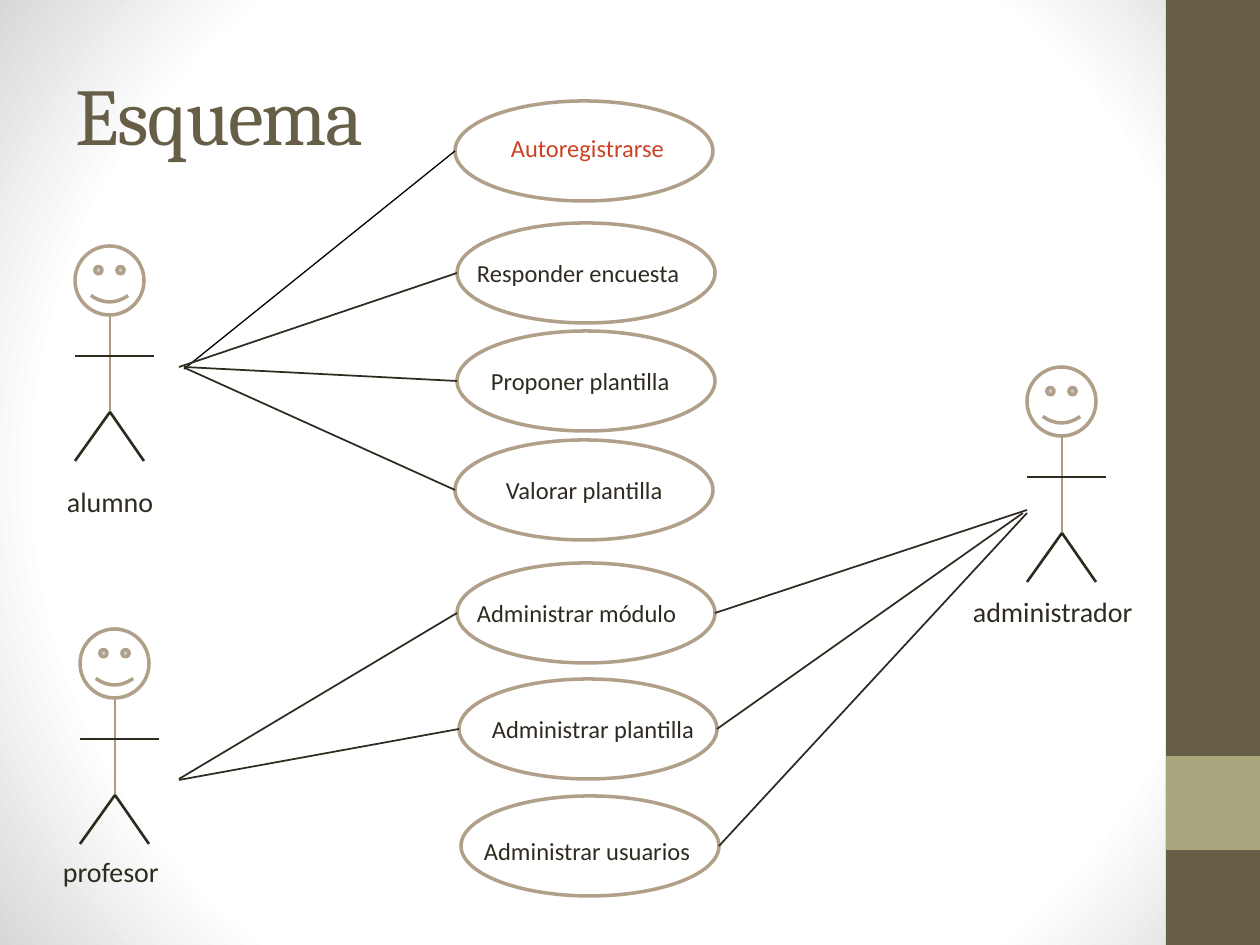
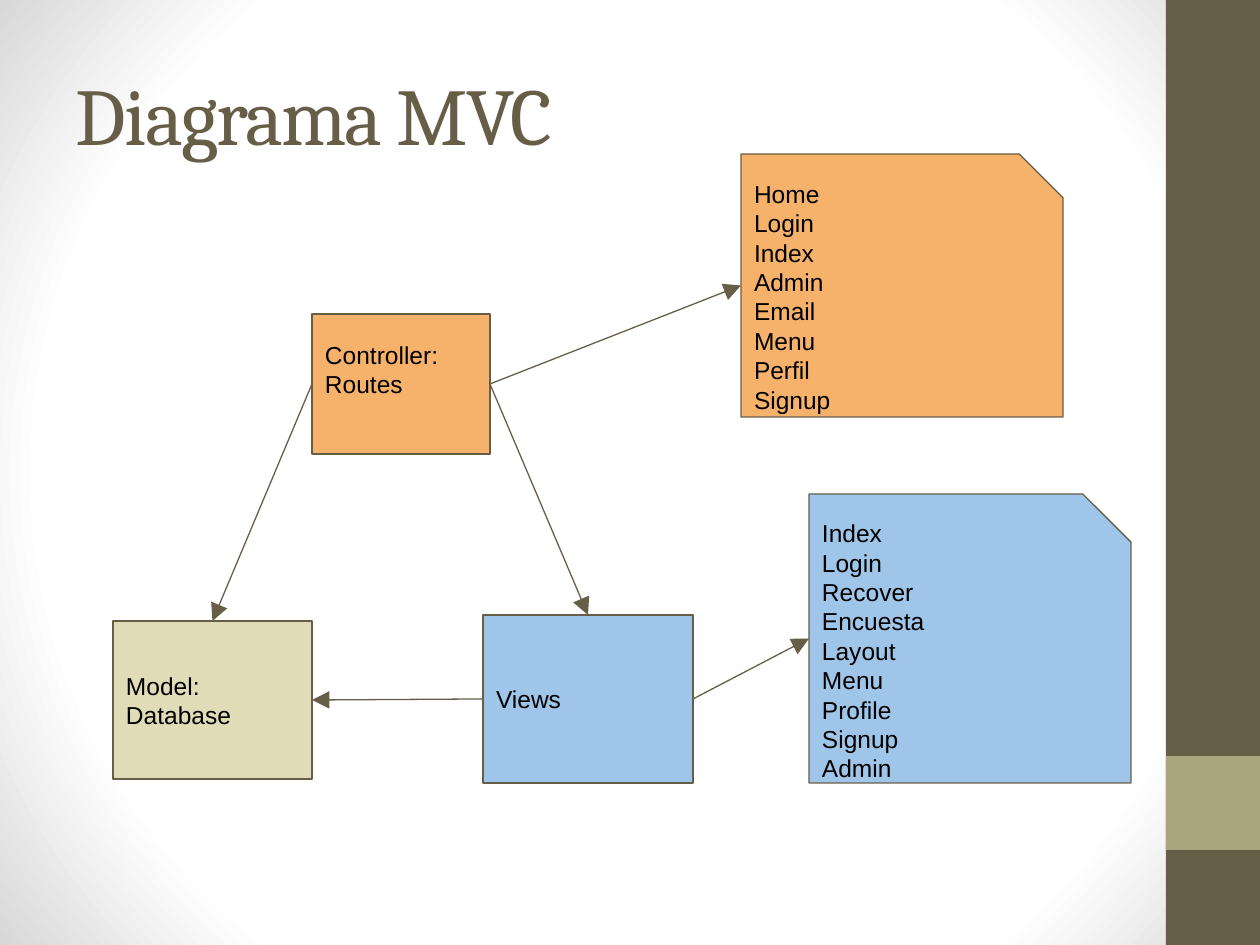
from lxml.etree import SubElement
from pptx import Presentation
from pptx.dml.color import RGBColor as RGB
from pptx.enum.shapes import MSO_CONNECTOR as Conn, MSO_SHAPE as Kind
from pptx.enum.text import MSO_ANCHOR as Anchor, MSO_AUTO_SIZE as Fit, PP_ALIGN as Align
from pptx.oxml import parse_xml
from pptx.oxml.ns import nsdecls, qn
from pptx.util import Pt

# Colours
BROWN = RGB(0x67, 0x5E, 0x47)
OLIVE = RGB(0xA9, 0xA5, 0x7C)
TAN = RGB(0xB1, 0xA0, 0x89)
BODY = RGB(0xAC, 0x9C, 0x84)
LIMB = RGB(0x2D, 0x2A, 0x1E)
INK = RGB(0x2F, 0x2B, 0x20)
RED = RGB(0xCC, 0x41, 0x25)
BLACK = RGB(0, 0, 0)
WHITE = RGB(0xFF, 0xFF, 0xFF)
SAND = RGB(0xDF, 0xDC, 0xB7)
BLUE = RGB(0x9F, 0xC5, 0xE8)
PEACH = RGB(0xF6, 0xB2, 0x6B)

# Shared layout, in px
DPI = 126
PAGE = (1260, 945)
TITLE = (63, 38, 1050, 158)
BANDS = [((1166, 0, 94, 945), BROWN), ((1166, 756, 94, 94), OLIVE)]
PAD = 13

# Use cases: name, oval left and top, text left and top, colour
OVAL = (258, 100)
CASES = [
    ("Autoregistrarse", (455, 101), (498, 127), RED),
    ("Responder encuesta", (457, 223), (464, 252), INK),
    ("Proponer plantilla", (457, 331), (478, 360), INK),
    ("Valorar plantilla", (455, 440), (493, 469), INK),
    ("Administrar módulo", (457, 563), (464, 592), INK),
    ("Administrar plantilla", (459, 679), (479, 708), INK),
    ("Administrar usuarios", (461, 796), (471, 830), INK),
]

# Actors: name, head left and top, label box
HEAD = 69
ACTORS = [
    ("alumno", (75, 246), (54, 478, 129, 47)),
    ("profesor", (80, 629), (50, 848, 129, 47)),
    ("administrador", (1027, 367), (960, 588, 204, 47)),
]
# Stick figure, measured from the corner of the head
LIMBS = [
    ((35, 70), (35, 169), BODY),
    ((0, 110), (79, 110), LIMB),
    ((35, 166), (69, 215), LIMB),
    ((35, 166), (0, 215), LIMB),
]

# Links: start, case number, side, colour, width
LINKS = [
    ((184, 369), 0, "left", BLACK, 0.75),
    ((179, 367), 1, "left", INK, 1),
    ((184, 367), 2, "left", INK, 1),
    ((185, 368), 3, "left", INK, 1),
    ((179, 779), 4, "left", INK, 1),
    ((179, 780), 5, "left", INK, 1),
    ((1027, 510), 4, "right", INK, 1),
    ((1023, 513), 5, "right", INK, 1),
    ((1027, 513), 6, "right", INK, 1),
]

# MVC nodes: preset, box, fill, lines, bottom inset
NODES = {
    "model": (Kind.RECTANGLE, (113, 621, 199, 158), SAND,
              ["Model:", "Database"], PAD),
    "views": (Kind.RECTANGLE, (483, 615, 210, 168), BLUE, ["Views"], PAD),
    "control": (Kind.RECTANGLE, (312, 314, 178, 140), PEACH,
                ["Controller:", "Routes"], 42),
    "routes": (Kind.SNIP_1_RECTANGLE, (741, 154, 322, 263), PEACH,
               ["Home", "Login", "Index", "Admin", "Email", "Menu",
                "Perfil", "Signup"], PAD),
    "pages": (Kind.SNIP_1_RECTANGLE, (809, 494, 322, 289), BLUE,
              ["Index", "Login", "Recover", "Encuesta", "Layout", "Menu",
               "Profile", "Signup", "Admin"], PAD),
}
ARROWS = [
    ("control", "left", "model", "top"),
    ("control", "right", "views", "top"),
    ("views", "left", "model", "right"),
    ("control", "right", "routes", "left"),
    ("views", "right", "pages", "left"),
]

BACK = f"""<p:bg {nsdecls("p", "a")}><p:bgPr><a:gradFill rotWithShape="1"><a:gsLst>
<a:gs pos="0"><a:srgbClr val="FFFFFF"/></a:gs>
<a:gs pos="75000"><a:srgbClr val="FFFFFF"/></a:gs>
<a:gs pos="100000"><a:srgbClr val="D8D8D8"/></a:gs></a:gsLst>
<a:path path="circle"><a:fillToRect l="50000" t="50000" r="50000" b="50000"/></a:path>
</a:gradFill><a:effectLst/></p:bgPr></p:bg>"""


def emu(*sizes):
    return [round(n * 914400 / DPI) for n in sizes]


def port(box, side):
    """Middle of one side of a box."""
    x, y, w, h = box
    return {"left": (x, y + h / 2), "right": (x + w, y + h / 2),
            "top": (x + w / 2, y)}[side]


def write(shape, lines, size, font, color, anchor=Anchor.TOP, low=PAD):
    frame = shape.text_frame
    frame.word_wrap = True
    frame.auto_size = Fit.NONE
    frame.vertical_anchor = anchor
    frame.margin_left, frame.margin_right, frame.margin_bottom = emu(PAD, PAD, low)
    for i, line in enumerate(lines):
        para = frame.add_paragraph() if i else frame.paragraphs[0]
        para.alignment = Align.LEFT
        run = para.add_run()
        run.text = line
        run.font.size = Pt(size)
        run.font.name = font
        run.font.color.rgb = color


def label(slide, box, text, size, color):
    write(slide.shapes.add_textbox(*emu(*box)), [text], size, "Calibri", color)


def draw(slide, kind, box, fill, edge=None, width=0.75):
    shape = slide.shapes.add_shape(kind, *emu(*box))
    shape.shadow.inherit = False
    shape.fill.solid()
    shape.fill.fore_color.rgb = fill
    if edge is None:
        shape.line.fill.background()
    else:
        shape.line.color.rgb = edge
        shape.line.width = Pt(width)
    return shape


def join(slide, start, end, color, width, arrow=False):
    line = slide.shapes.add_connector(Conn.STRAIGHT, *emu(*start, *end))
    line.line.color.rgb = color
    line.line.width = Pt(width)
    props = line.element.spPr
    if arrow:
        SubElement(props.find(qn("a:ln")), qn("a:tailEnd"),
                   type="triangle", w="lg", len="lg")
    SubElement(props, qn("a:effectLst"))


def start_slide(prs, text):
    slide = prs.slides.add_slide(prs.slide_layouts[5])
    for box, fill in BANDS:
        draw(slide, Kind.RECTANGLE, box, fill)
    title = slide.shapes.title
    title.left, title.top, title.width, title.height = emu(*TITLE)
    write(title, [text], 46, "Cambria", BROWN, Anchor.MIDDLE)
    title.element.xpath(".//a:rPr")[0].set("spc", "-100")
    return slide


def add_cases(prs):
    slide = start_slide(prs, "Esquema")
    # Actors
    for name, (x, y), box in ACTORS:
        face = draw(slide, Kind.SMILEY_FACE, (x, y, HEAD, HEAD), WHITE, TAN, 2)
        face.adjustments[0] = 0.047
        for (x1, y1), (x2, y2), color in LIMBS:
            join(slide, (x + x1, y + y1), (x + x2, y + y2), color, 1.5)
        label(slide, box, name, 16, INK)
    # Use cases
    for name, spot, at, color in CASES:
        draw(slide, Kind.OVAL, spot + OVAL, WHITE, TAN, 2)
        label(slide, at + (250, 43), name, 14, color)
    # Links
    for start, case, side, color, width in LINKS:
        join(slide, start, port(CASES[case][1] + OVAL, side), color, width)


def add_mvc(prs):
    slide = start_slide(prs, "Diagrama MVC")
    for kind, box, fill, lines, low in NODES.values():
        node = draw(slide, kind, box, fill, BROWN)
        write(node, lines, 14, "Arial", BLACK, Anchor.MIDDLE, low)
        node.text_frame.margin_top = emu(PAD)[0]
    for src, out, dst, into in ARROWS:
        join(slide, port(NODES[src][1], out), port(NODES[dst][1], into),
             BROWN, 0.75, arrow=True)


def main():
    prs = Presentation()
    prs.slide_width, prs.slide_height = emu(*PAGE)
    prs.slide_layouts[5].element.cSld.insert(0, parse_xml(BACK))
    add_cases(prs)
    add_mvc(prs)
    prs.save("out.pptx")


if __name__ == "__main__":
    main()
